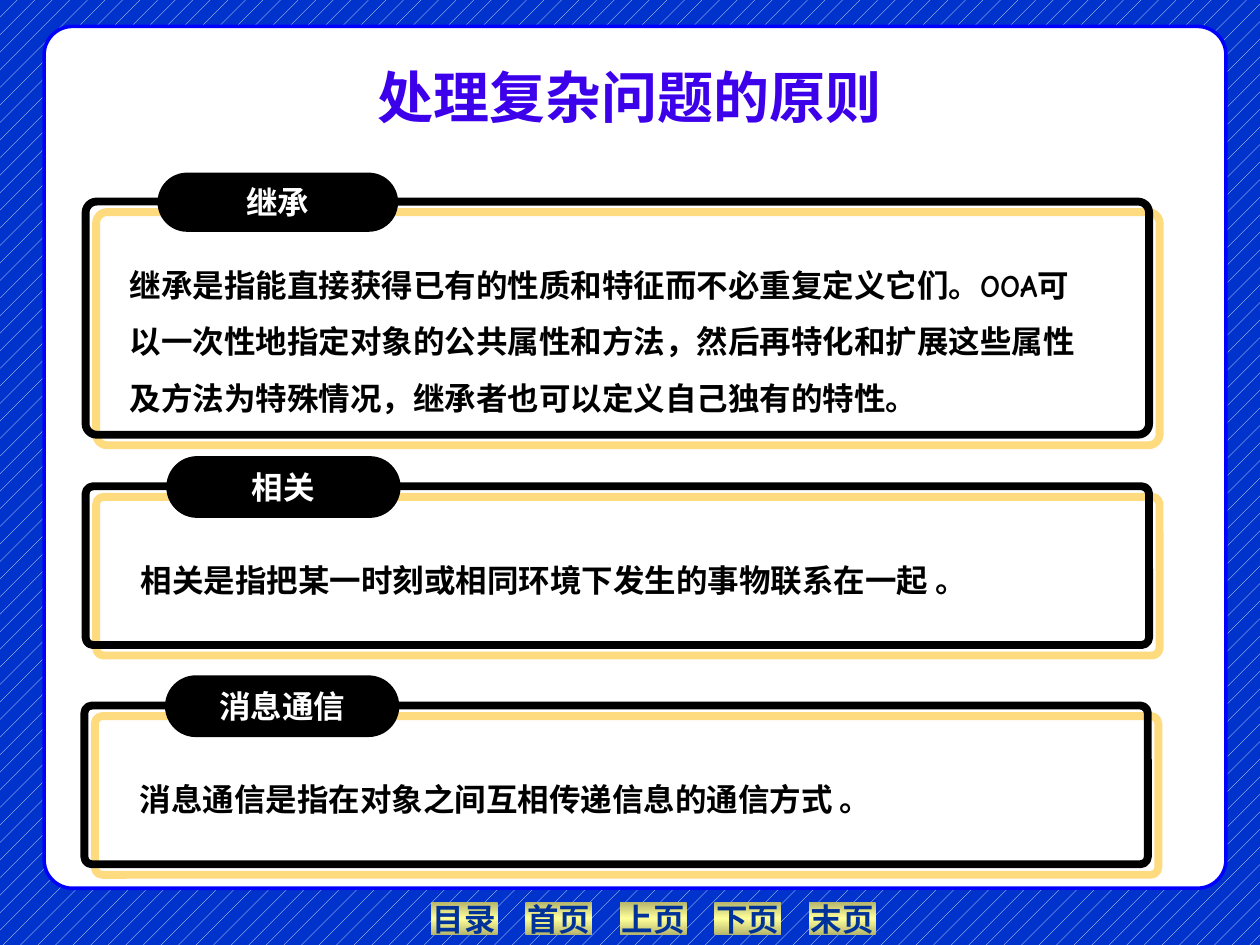
"""Build a slide on three principles for handling complex problems."""
import copy

import pptx
import pptx.dml.color
import pptx.enum.dml
import pptx.enum.shapes
import pptx.enum.text
import pptx.oxml.ns
import pptx.util
from lxml import etree

Inches, Pt = pptx.util.Inches, pptx.util.Pt
qn = pptx.oxml.ns.qn
KIND = pptx.enum.shapes.MSO_SHAPE
ANCHOR = pptx.enum.text.MSO_ANCHOR
CENTER = pptx.enum.text.PP_ALIGN.CENTER

THEME = {
    "blue": "0033CC", "edge": "0000FF", "white": "FFFFFF", "black": "000000",
    "title": "3D00EA", "link": "003399", "glow": "FFB800",
    "stops": [(0, "B6B66D"), (0.5, "FFFF99"), (1, "B6B66D")],
    "head": 32, "text": 18,
    "latin": "Comic Neue", "asian": "Noto Sans CJK SC", "serif": "Times New Roman",
}

TITLE = "处理复杂问题的原则"
LINKS = ["目录", "首页", "上页", "下页", "末页"]
PANELS = [
    {"name": "相关", "frame": (0.68, 3.86, 8.44, 1.26),
     "pill": (1.32, 3.62, 1.86, 0.49), "note": (1.02, 4.25, 7.88, 0.55),
     "text": "相关是指把某一时刻或相同环境下发生的事物联系在一起 。"},
    {"name": "继承", "frame": (0.68, 1.6, 8.44, 1.85),
     "pill": (1.25, 1.37, 1.91, 0.47), "note": (0.93, 1.91, 7.88, 1.45),
     "text": "继承是指能直接获得已有的性质和特征而不必重复定义它们。"
             "OOA可以一次性地指定对象的公共属性和方法，然后再特化和扩展这些属性"
             "及方法为特殊情况，继承者也可以定义自己独有的特性。"},
    {"name": "消息通信", "frame": (0.67, 5.6, 8.44, 1.26),
     "pill": (1.31, 5.36, 1.86, 0.49), "note": (1.01, 5.99, 7.88, 0.55),
     "text": "消息通信是指在对象之间互相传递信息的通信方式 。"},
]


def tint(name):
    return pptx.dml.color.RGBColor.from_string(THEME.get(name, name))


def write(shape, text, size, font, color, anchor, align=None, wrap=True):
    frame = shape.text_frame
    frame.word_wrap = wrap
    frame.vertical_anchor = anchor
    para = frame.paragraphs[0]
    para.alignment = align
    run = para.add_run()
    run.text = text
    run.font.size = Pt(THEME[size])
    run.font.bold = True
    run.font.name = THEME[font]
    run.font.color.rgb = tint(color)
    etree.SubElement(run.font._element, qn("a:ea"), typeface=THEME["asian"])
    return para


def block(slide, kind, box, fill=None, line=None, width=0, curve=None):
    shape = slide.shapes.add_shape(kind, *map(Inches, box))
    shape.shadow.inherit = False
    if curve is not None:
        shape.adjustments[0] = curve
    if fill:
        shape.fill.solid()
        shape.fill.fore_color.rgb = tint(fill)
    else:
        shape.fill.background()
    if line:
        shape.line.color.rgb = tint(line)
        shape.line.width = Pt(width)
    else:
        shape.line.fill.background()
    return shape


def shade(shape):
    shape.fill.gradient()
    shape.fill.gradient_angle = 90
    stops = shape._element.spPr.find(".//" + qn("a:gsLst"))
    stops.insert(1, copy.deepcopy(stops[0]))
    for stop, (place, color) in zip(shape.fill.gradient_stops, THEME["stops"]):
        stop.position = place
        stop.color.rgb = tint(color)


def glow(shape):
    effects = shape._element.spPr.find(qn("a:effectLst"))
    outer = etree.SubElement(effects, qn("a:outerShdw"), blurRad="0",
                             dist=str(Pt(8.5)), dir=str(45 * 60000),
                             algn="ctr", rotWithShape="0")
    color = etree.SubElement(outer, qn("a:srgbClr"), val=THEME["glow"])
    etree.SubElement(color, qn("a:alpha"), val="50000")


def label(slide, box):
    return slide.shapes.add_textbox(*map(Inches, box))


def panel(slide, item):
    note = label(slide, item["note"])
    para = write(note, item["text"], "text", "latin", "black", ANCHOR.TOP)
    para.line_spacing = 1.5
    note.text_frame.auto_size = pptx.enum.text.MSO_AUTO_SIZE.SHAPE_TO_FIT_TEXT
    glow(block(slide, KIND.ROUNDED_RECTANGLE, item["frame"],
               line="black", width=4.5, curve=0.047))
    pill = block(slide, KIND.ROUNDED_RECTANGLE, item["pill"], "black", curve=0.5)
    write(pill, item["name"], "text", "asian", "white", ANCHOR.MIDDLE, CENTER, False)


def main():
    deck = pptx.Presentation()
    deck.slide_width, deck.slide_height = Inches(10), Inches(7.5)
    slide = deck.slides.add_slide(deck.slide_layouts[6])
    back = slide.background.fill
    back.patterned()
    back.pattern = pptx.enum.dml.MSO_PATTERN.PERCENT_5
    back.fore_color.rgb = tint("white")
    back.back_color.rgb = tint("blue")
    for i, text in enumerate(LINKS):
        key = block(slide, KIND.ACTION_BUTTON_CUSTOM, (3.42 + 0.75 * i, 7.16, 0.53, 0.26))
        shade(key)
        write(key, text, "text", "serif", "link", ANCHOR.MIDDLE, CENTER, False)
    block(slide, KIND.ROUNDED_RECTANGLE, (0.35, 0.21, 9.38, 6.84),
          "white", "edge", 2, 0.033)
    write(label(slide, (0.5, 0.25, 9, 0.83)), TITLE, "head", "latin", "title",
          ANCHOR.BOTTOM, CENTER)
    for item in PANELS:
        panel(slide, item)
    deck.save("out.pptx")


if __name__ == "__main__":
    main()
